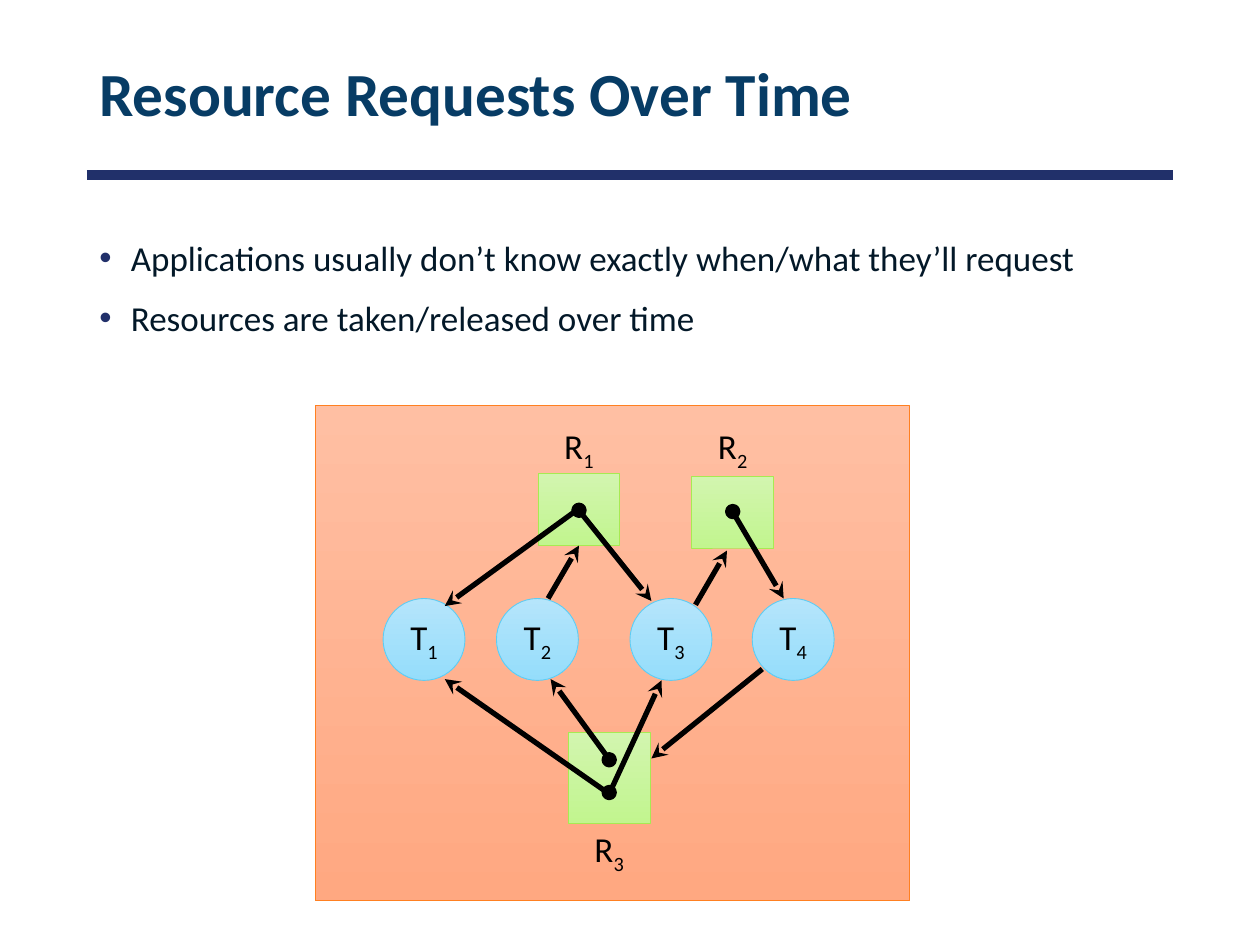
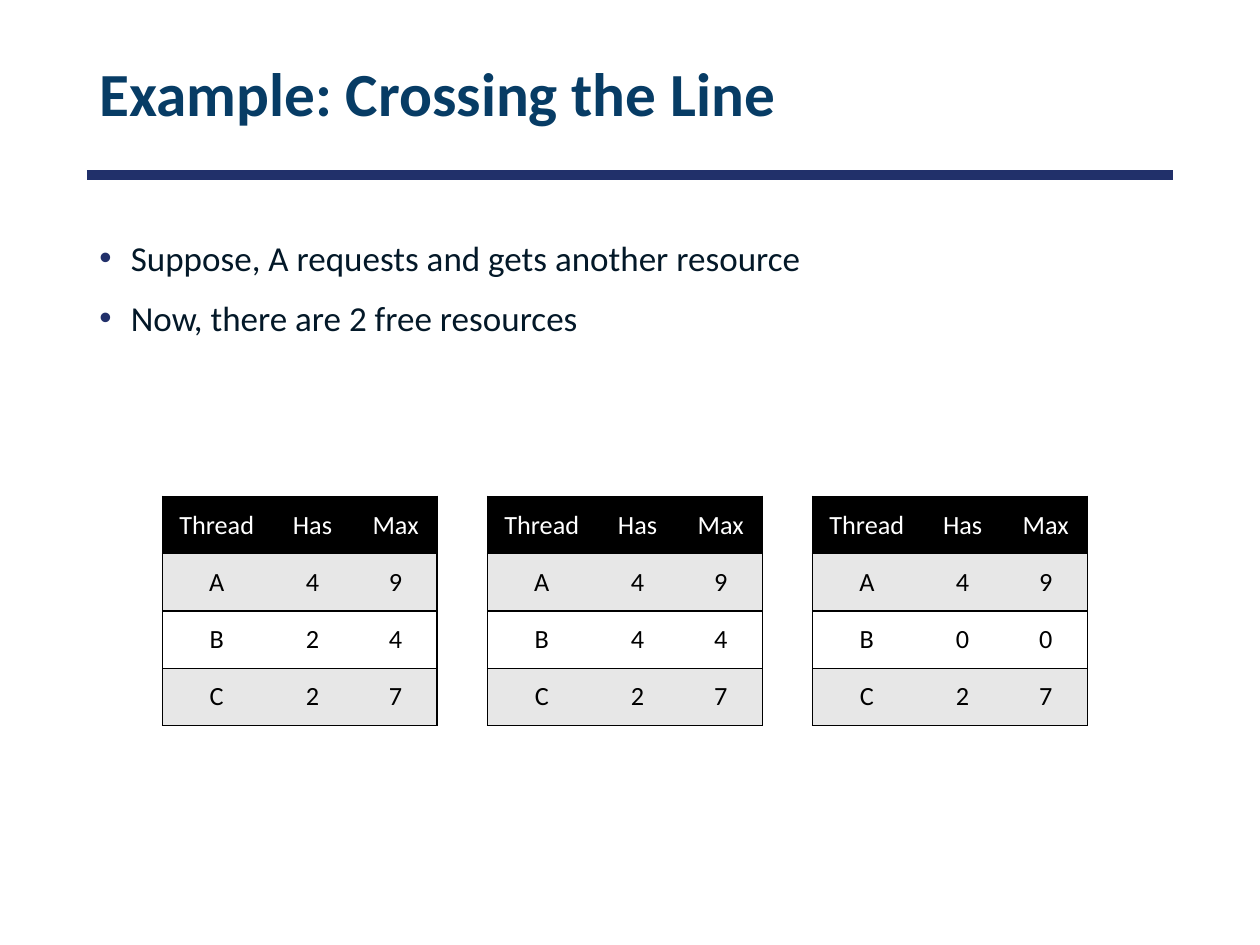
from lxml import etree
from pptx import Presentation
from pptx.dml.color import RGBColor
from pptx.enum.shapes import MSO_CONNECTOR, MSO_SHAPE
from pptx.enum.text import MSO_ANCHOR, PP_ALIGN
from pptx.oxml.ns import qn
from pptx.util import Inches, Pt

RECTANGLE = MSO_SHAPE.RECTANGLE
OVAL = MSO_SHAPE.OVAL
STRAIGHT = MSO_CONNECTOR.STRAIGHT
MIDDLE = MSO_ANCHOR.MIDDLE
CENTER = PP_ALIGN.CENTER
BOTTOM_SIDE = 2

FONT = "Calibri"
BLACK = RGBColor(0x00, 0x00, 0x00)
WHITE = RGBColor(0xFF, 0xFF, 0xFF)
NAVY = RGBColor(0x21, 0x30, 0x6A)
TITLE_BLUE = RGBColor(0x07, 0x3C, 0x65)
BODY_INK = RGBColor(0x03, 0x18, 0x28)
BAND_GRAY = RGBColor(0xE7, 0xE7, 0xE7)
PANEL_TOP = RGBColor(0xFF, 0xBF, 0xA3)
PANEL_BOTTOM = RGBColor(0xFF, 0xA8, 0x81)
PANEL_EDGE = RGBColor(0xFF, 0x80, 0x21)
THREAD_TOP = RGBColor(0xB5, 0xE5, 0xFB)
THREAD_BOTTOM = RGBColor(0x95, 0xDD, 0xFB)
THREAD_EDGE = RGBColor(0x5E, 0xCC, 0xF3)
RESOURCE_TOP = RGBColor(0xD2, 0xF5, 0xAF)
RESOURCE_BOTTOM = RGBColor(0xC2, 0xF5, 0x8F)
RESOURCE_EDGE = RGBColor(0xA7, 0xEA, 0x52)

MARGIN = 0.69
CONTENT_WIDTH = 8.62
NODE_SIZE = 0.65
THREAD_TOP_EDGE = 4.75
DOT_SIZE = 0.08
LABEL_WIDTH = 0.46
LABEL_HEIGHT = 0.44
TABLE_LEFT = 1.29
TABLE_STEP = 2.58
COLUMN_WIDTHS = (0.86, 0.66, 0.66)


def style_font(font, size, color, bold=False):
    font.name = FONT
    font.size = Pt(size)
    font.color.rgb = color
    font.bold = bold


def add_line(slide, start, end, color, width, arrow=False):
    points = [Inches(value) for value in (*start, *end)]
    line = slide.shapes.add_connector(STRAIGHT, *points)
    line.line.color.rgb = color
    line.line.width = Pt(width)
    if arrow:
        tail = etree.SubElement(line.line._get_or_add_ln(), qn("a:tailEnd"))
        tail.set("type", "stealth")
    etree.SubElement(line._element.spPr, qn("a:effectLst"))
    return line


def add_text_box(shapes, left, top, width, height):
    return shapes.add_textbox(Inches(left), Inches(top), Inches(width), Inches(height))


def add_title(slide, title):
    frame = add_text_box(slide.shapes, MARGIN, 0.23, CONTENT_WIDTH, 1.08).text_frame
    frame.word_wrap = True
    frame.vertical_anchor = MIDDLE
    frame.text = title
    paragraph = frame.paragraphs[0]
    paragraph.line_spacing = 0.9
    style_font(paragraph.runs[0].font, 35, TITLE_BLUE, bold=True)


def add_bullets(slide, lines):
    frame = add_text_box(slide.shapes, MARGIN, 1.83, CONTENT_WIDTH, 5.43).text_frame
    frame.word_wrap = True
    frame.text = "\n".join(lines)
    for index, paragraph in enumerate(frame.paragraphs):
        if index:
            paragraph.space_before = Pt(10)
        properties = paragraph._p.get_or_add_pPr()
        properties.set("marL", str(Inches(0.25)))
        properties.set("indent", str(-Inches(0.25)))
        bullet_color = etree.SubElement(properties, qn("a:buClr"))
        etree.SubElement(bullet_color, qn("a:srgbClr")).set("val", str(NAVY))
        etree.SubElement(properties, qn("a:buFont")).set("typeface", "Arial")
        etree.SubElement(properties, qn("a:buChar")).set("char", "•")
        style_font(paragraph.runs[0].font, 20, BODY_INK)


def add_content_slide(presentation, title, bullets):
    slide = presentation.slides.add_slide(presentation.slide_layouts[6])
    add_line(slide, (MARGIN, 1.39), (MARGIN + CONTENT_WIDTH, 1.39), NAVY, 6)
    add_title(slide, title)
    add_bullets(slide, bullets)
    return slide


def add_gradient_shape(shapes, kind, box, top_color, bottom_color, edge_color):
    shape = shapes.add_shape(kind, *[Inches(value) for value in box])
    shape.shadow.inherit = False
    shape.fill.gradient()
    shape.fill.gradient_angle = 270
    for stop, color in zip(shape.fill.gradient_stops, (top_color, bottom_color)):
        stop.color.rgb = color
    shape.line.color.rgb = edge_color
    shape.line.width = Pt(0.5)
    return shape


def write_subscripted(frame, letter, number):
    frame.word_wrap = False
    frame.vertical_anchor = MIDDLE
    paragraph = frame.paragraphs[0]
    paragraph.alignment = CENTER
    for text in (letter, number):
        run = paragraph.add_run()
        run.text = text
        style_font(run.font, 20, BLACK)
    run.font._element.set("baseline", "-25000")


def add_thread(slide, number, left):
    circle = add_gradient_shape(
        slide.shapes, OVAL, (left, THREAD_TOP_EDGE, NODE_SIZE, NODE_SIZE),
        THREAD_TOP, THREAD_BOTTOM, THREAD_EDGE)
    write_subscripted(circle.text_frame, "T", number)


def add_resource(slide, number, left, top, height, dot_centers, label_top):
    shapes = slide.shapes.add_group_shape().shapes
    square = add_gradient_shape(
        shapes, RECTANGLE, (left, top, NODE_SIZE, height),
        RESOURCE_TOP, RESOURCE_BOTTOM, RESOURCE_EDGE)
    center = left + NODE_SIZE / 2
    for dot_center in dot_centers:
        dot = shapes.add_shape(
            OVAL, Inches(center - DOT_SIZE / 2), Inches(dot_center - DOT_SIZE / 2),
            Inches(DOT_SIZE), Inches(DOT_SIZE))
        dot.shadow.inherit = False
        dot.fill.solid()
        dot.fill.fore_color.rgb = BLACK
        dot.line.color.rgb = BLACK
        dot.line.width = Pt(3)
    label = add_text_box(
        shapes, center - LABEL_WIDTH / 2, label_top, LABEL_WIDTH, LABEL_HEIGHT)
    write_subscripted(label.text_frame, "R", number)
    return square


def add_arrow(slide, start, end):
    return add_line(slide, start, end, BLACK, 3, arrow=True)


def set_border(cell, side, visible):
    border = etree.SubElement(cell._tc.get_or_add_tcPr(), qn(f"a:ln{side}"))
    if visible:
        border.set("w", str(Pt(1)))
        fill = etree.SubElement(border, qn("a:solidFill"))
        etree.SubElement(fill, qn("a:srgbClr")).set("val", str(BLACK))
    else:
        etree.SubElement(border, qn("a:noFill"))


def format_cell(cell, text, fill_color, text_color, is_first, is_last):
    cell.margin_left = cell.margin_right = Inches(0.13)
    cell.margin_top = cell.margin_bottom = Inches(0.06)
    cell.vertical_anchor = MIDDLE
    for side, visible in (("L", is_first), ("R", is_last), ("T", True), ("B", True)):
        set_border(cell, side, visible)
    cell.fill.solid()
    cell.fill.fore_color.rgb = fill_color
    cell.text_frame.text = text
    paragraph = cell.text_frame.paragraphs[0]
    paragraph.alignment = CENTER
    style_font(paragraph.runs[0].font, 15, text_color)


def add_thread_table(slide, left, threads):
    rows = [("Thread", "Has", "Max"), *threads]
    table = slide.shapes.add_table(
        len(rows), len(COLUMN_WIDTHS), Inches(left), Inches(3.94),
        Inches(sum(COLUMN_WIDTHS)), Inches(1.82)).table
    for column, width in zip(table.columns, COLUMN_WIDTHS):
        column.width = Inches(width)
    last_column = len(COLUMN_WIDTHS) - 1
    for row_index, row in enumerate(rows):
        if row_index == 0:
            fill_color, text_color = BLACK, WHITE
        else:
            fill_color = BAND_GRAY if row_index % 2 else WHITE
            text_color = BLACK
        for column_index, text in enumerate(row):
            format_cell(table.cell(row_index, column_index), text, fill_color,
                        text_color, column_index == 0, column_index == last_column)


def build_requests_slide(presentation):
    slide = add_content_slide(presentation, "Resource Requests Over Time", [
        "Applications usually don’t know exactly when/what they’ll request",
        "Resources are taken/released over time",
    ])
    add_gradient_shape(slide.shapes, RECTANGLE, (2.5, 3.22, 4.72, 3.93),
                       PANEL_TOP, PANEL_BOTTOM, PANEL_EDGE)
    for number, left in (("1", 3.04), ("2", 3.94), ("3", 5), ("4", 5.97)):
        add_thread(slide, number, left)
    first_resource = add_resource(slide, "1", 4.27, 3.76, 0.57, [4.05], 3.34)
    add_resource(slide, "2", 5.49, 3.78, 0.57, [4.06], 3.34)
    add_resource(slide, "3", 4.51, 5.81, 0.73, [6.03, 6.29], 6.54)

    request = add_arrow(slide, (4.35, 4.75), (4.59, 4.34))
    request.end_connect(first_resource, BOTTOM_SIDE)
    for start, end in (
        ((4.61, 4.07), (5.17, 4.77)),
        ((5.52, 4.8), (5.77, 4.37)),
        ((5.82, 4.07), (6.22, 4.75)),
        ((4.83, 6.02), (4.37, 5.39)),
        ((4.84, 6.29), (5.25, 5.4)),
        ((6.05, 5.31), (5.17, 6.02)),
        ((4.59, 4.04), (3.53, 4.81)),
        ((4.82, 6.29), (3.53, 5.39)),
    ):
        add_arrow(slide, start, end)


def build_crossing_slide(presentation):
    slide = add_content_slide(presentation, "Example: Crossing the Line", [
        "Suppose, A requests and gets another resource",
        "Now, there are 2 free resources",
    ])
    for index, (has, maximum) in enumerate((("2", "4"), ("4", "4"), ("0", "0"))):
        threads = [("A", "4", "9"), ("B", has, maximum), ("C", "2", "7")]
        add_thread_table(slide, TABLE_LEFT + index * TABLE_STEP, threads)


def main():
    presentation = Presentation()
    presentation.slide_width = Inches(10)
    presentation.slide_height = Inches(7.5)
    build_requests_slide(presentation)
    build_crossing_slide(presentation)
    presentation.save("out.pptx")


if __name__ == "__main__":
    main()
